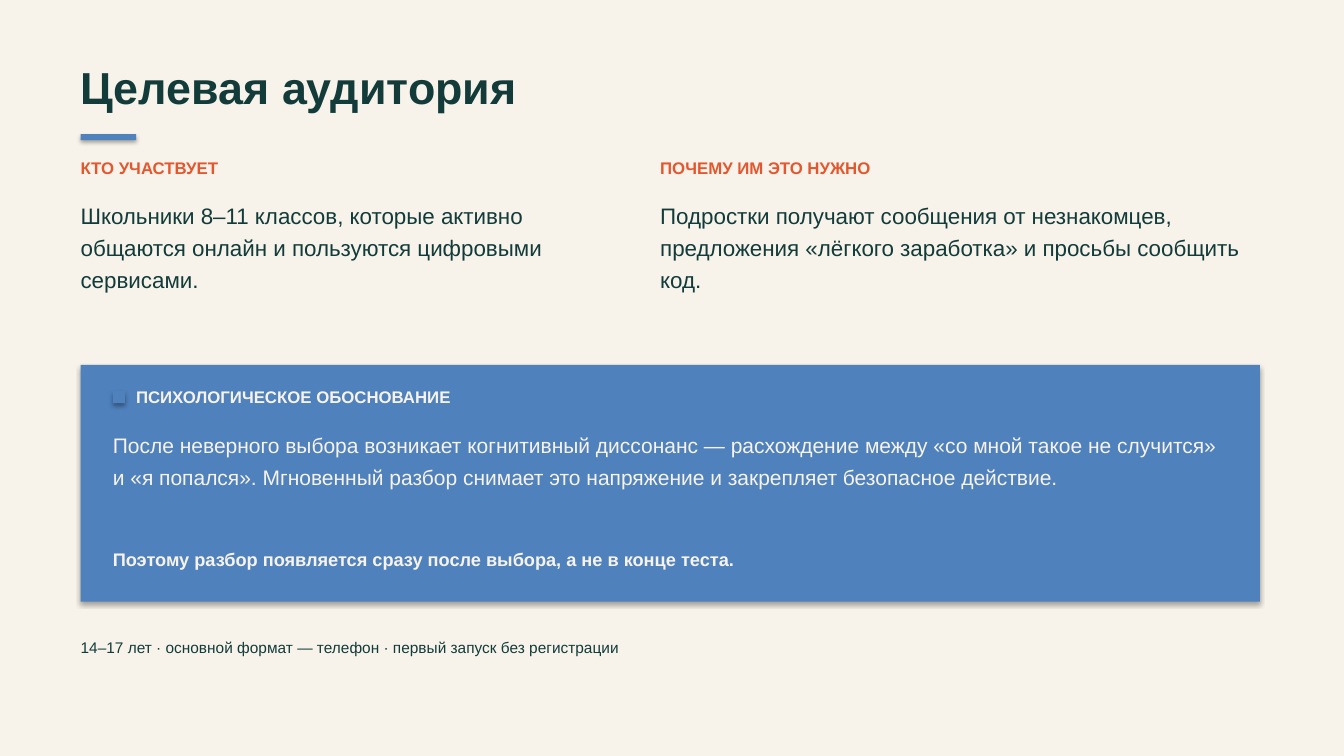
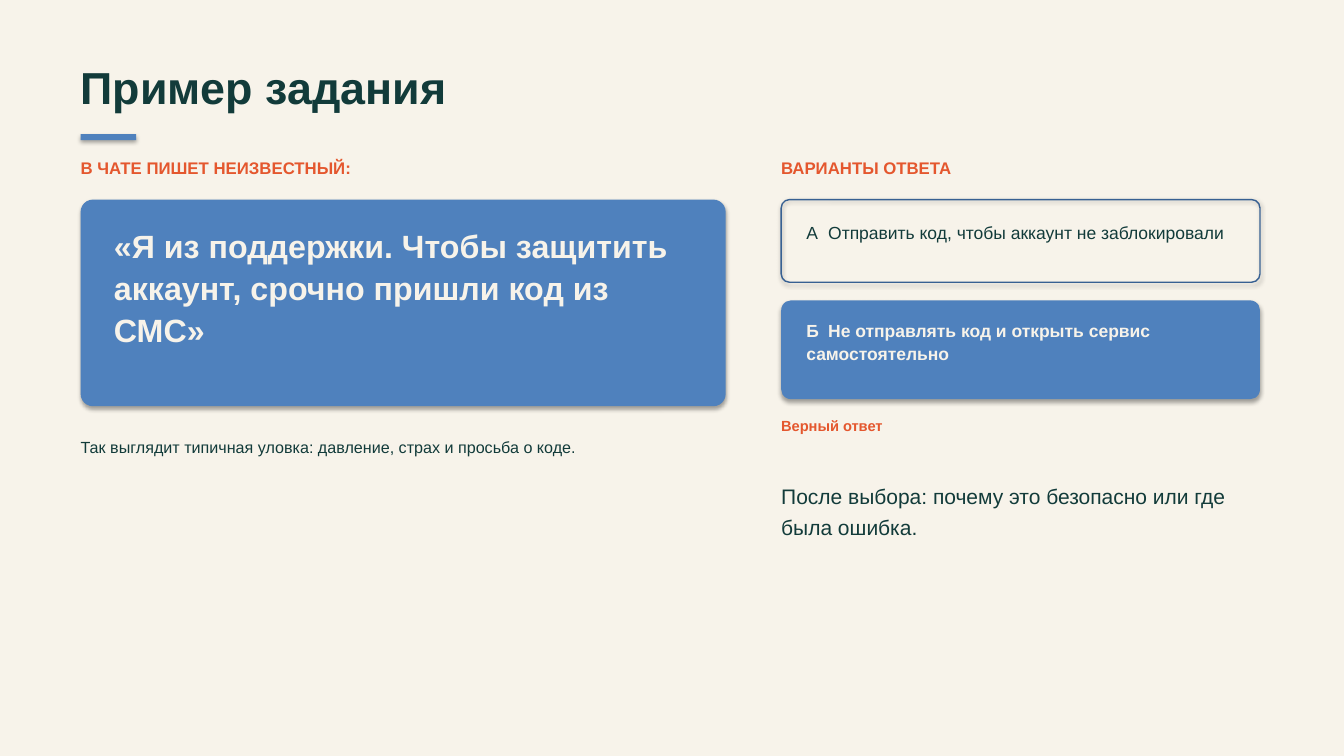
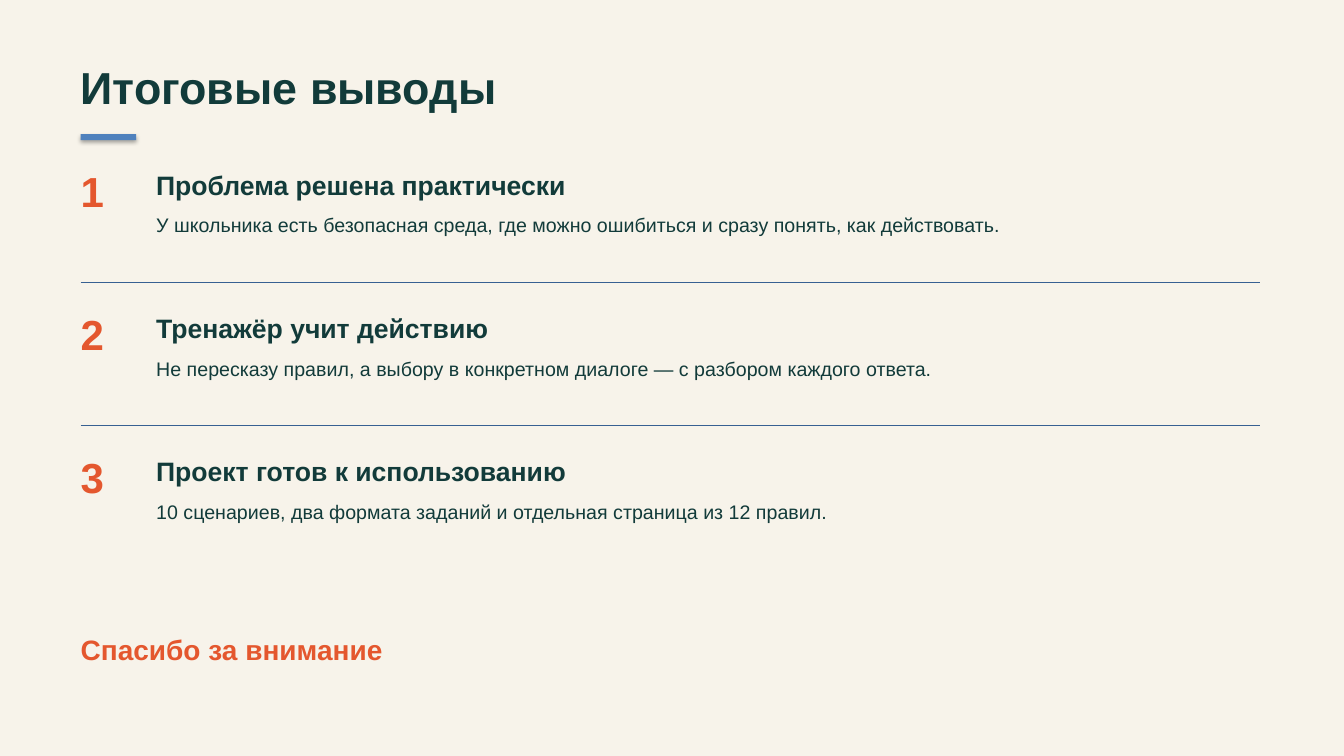
import pptx
import pptx.dml.color
import pptx.enum.shapes
import pptx.enum.text
import pptx.oxml
import pptx.oxml.ns
import pptx.util

Pt = pptx.util.Pt
SHAPES = pptx.enum.shapes.MSO_SHAPE
COLORS = {
    "paper": "F7F3EA",
    "ink": "123B3A",
    "accent": "E4572E",
    "blue": "4F81BD",
    "outline": "376092",
}
RGB = {name: pptx.dml.color.RGBColor.from_string(code) for name, code in COLORS.items()}
LEFT = 57.6
FULL_WIDTH = 842.4


def write(page, words, area, size, color="ink", bold=False, spacing=1.08, tab=None, box=None):
    """Write one paragraph into an area (left, top, width, height)."""
    if box is None:
        box = page.shapes.add_textbox(0, 0, 0, 0)
    box.left, box.top, box.width, box.height = [Pt(value) for value in area]
    frame = box.text_frame
    frame.word_wrap = True
    frame.auto_size = pptx.enum.text.MSO_AUTO_SIZE.NONE
    frame.vertical_anchor = pptx.enum.text.MSO_ANCHOR.TOP
    frame.margin_left = frame.margin_top = frame.margin_right = frame.margin_bottom = 0
    frame.text = words
    para = frame.paragraphs[0]
    if tab:
        stops = pptx.oxml.parse_xml(
            f'<a:tabLst {pptx.oxml.ns.nsdecls("a")}><a:tab pos="{Pt(tab)}" algn="l"/></a:tabLst>')
        para._p.get_or_add_pPr().append(stops)
    para.alignment = pptx.enum.text.PP_ALIGN.LEFT
    para.line_spacing = spacing
    font = para.runs[0].font
    font.name, font.size, font.bold = "Arial", Pt(size), bold
    font.color.rgb = RGB[color]


def add_panel(page, area, radius=None, filled=True):
    """Add a panel that keeps the soft shadow of the theme."""
    kind = SHAPES.ROUNDED_RECTANGLE if radius else SHAPES.RECTANGLE
    panel = page.shapes.add_shape(kind, *[Pt(value) for value in area])
    if radius:
        panel.adjustments[0] = radius
    if filled:
        panel.fill.solid()
        panel.fill.fore_color.rgb = RGB["blue"]
        panel.line.fill.background()
    else:
        panel.fill.background()
        panel.line.color.rgb = RGB["outline"]
        panel.line.width = Pt(1)


# Deck with a shared background, title and accent bar
deck = pptx.Presentation()
deck.slide_width, deck.slide_height = Pt(960), Pt(540)
background = deck.slide_master.background.fill
background.solid()
background.fore_color.rgb = RGB["paper"]

pages = []
for title in ["Целевая аудитория", "Пример задания", "Итоговые выводы"]:
    page = deck.slides.add_slide(deck.slide_layouts[5])
    write(page, title, (LEFT, 39.6, FULL_WIDTH, 50.4), 32, bold=True, box=page.shapes.title)
    add_panel(page, (LEFT, 95.76, 39.6, 4.32))
    pages.append(page)
audience, example, summary = pages

# Audience: two columns
columns = [
    (LEFT, 360, "КТО УЧАСТВУЕТ",
     "Школьники 8–11 классов, которые активно общаются онлайн и пользуются цифровыми сервисами."),
    (471.6, 424.8, "ПОЧЕМУ ИМ ЭТО НУЖНО",
     "Подростки получают сообщения от незнакомцев, предложения «лёгкого заработка» "
     "и просьбы сообщить код."),
]
for left, width, heading, body in columns:
    write(audience, heading, (left, 111.6, width, 21.6), 12, "accent", bold=True)
    write(audience, body, (left, 140.4, width, 97.2), 16, spacing=1.2)

# Audience: reasoning panel and footnote
add_panel(audience, (LEFT, 260.64, FULL_WIDTH, 169.2))
add_panel(audience, (80.64, 279.36, 8.64, 8.64))
write(audience, "ПСИХОЛОГИЧЕСКОЕ ОБОСНОВАНИЕ", (97.2, 275.04, 792, 21.6), 12, "paper", bold=True)
write(audience,
      "После неверного выбора возникает когнитивный диссонанс — расхождение между "
      "«со мной такое не случится» и «я попался». Мгновенный разбор снимает это "
      "напряжение и закрепляет безопасное действие.",
      (80.64, 303.84, 792, 82.8), 15, "paper", spacing=1.28)
write(audience, "Поэтому разбор появляется сразу после выбора, а не в конце теста.",
      (80.64, 390.24, 792, 28.8), 13, "paper", bold=True)
write(audience, "14–17 лет · основной формат — телефон · первый запуск без регистрации",
      (LEFT, 455.04, FULL_WIDTH, 25.2), 11)

# Example: message from a stranger
write(example, "В ЧАТЕ ПИШЕТ НЕИЗВЕСТНЫЙ:", (LEFT, 111.6, 446.4, 21.6), 12, "accent", bold=True)
add_panel(example, (LEFT, 142.56, 460.8, 147.6), radius=0.06)
write(example, "«Я из поддержки. Чтобы защитить аккаунт, срочно пришли код из СМС»",
      (81.36, 159.84, 414, 115.2), 23, "paper", bold=True)
write(example, "Так выглядит типичная уловка: давление, страх и просьба о коде.",
      (LEFT, 311.04, 460.8, 28.8), 11.5)

# Example: answers, the right one filled
ANSWER_LEFT, ANSWER_WIDTH = 558, 342
write(example, "ВАРИАНТЫ ОТВЕТА", (ANSWER_LEFT, 111.6, 338.4, 21.6), 12, "accent", bold=True)
answers = [
    ("А\tОтправить код, чтобы аккаунт не заблокировали", 142.56, 59.04, 156.96, 32.4, False),
    ("Б\tНе отправлять код и открыть сервис самостоятельно", 214.56, 70.56, 226.8, 46.8, True),
]
for words, top, height, text_top, text_height, correct in answers:
    add_panel(example, (ANSWER_LEFT, top, ANSWER_WIDTH, height), radius=0.1, filled=correct)
    write(example, words, (576, text_top, 309.6, text_height), 12.5,
          "paper" if correct else "ink", bold=correct, spacing=1.1, tab=15.6)
write(example, "Верный ответ", (ANSWER_LEFT, 296.64, ANSWER_WIDTH, 21.6), 10.5, "accent", bold=True)
write(example, "После выбора: почему это безопасно или где была ошибка.",
      (ANSWER_LEFT, 342, ANSWER_WIDTH, 86.4), 15, spacing=1.2)

# Summary: numbered conclusions with dividers between them
conclusions = [
    ("Проблема решена практически",
     "У школьника есть безопасная среда, где можно ошибиться и сразу понять, как действовать."),
    ("Тренажёр учит действию",
     "Не пересказу правил, а выбору в конкретном диалоге — с разбором каждого ответа."),
    ("Проект готов к использованию",
     "10 сценариев, два формата заданий и отдельная страница из 12 правил."),
]
for index, (heading, body) in enumerate(conclusions):
    top = 115.2 + 102.24 * index
    if index:
        divider_top = Pt(top - 15.84)
        divider = summary.shapes.add_connector(
            pptx.enum.shapes.MSO_CONNECTOR.STRAIGHT,
            Pt(LEFT), divider_top, Pt(LEFT + FULL_WIDTH), divider_top)
        divider.line.color.rgb = RGB["outline"]
        divider.line.width = Pt(0.6)
        divider._element.spPr.append(
            pptx.oxml.parse_xml(f'<a:effectLst {pptx.oxml.ns.nsdecls("a")}/>'))
    write(summary, str(index + 1), (LEFT, top, 50.4, 43.2), 30, "accent", bold=True)
    write(summary, heading, (111.6, top + 3.6, 777.6, 28.8), 19, bold=True)
    write(summary, body, (111.6, top + 33.84, 777.6, 46.8), 14, spacing=1.2)

write(summary, "Спасибо за внимание", (LEFT, 450, 828, 36), 20, "accent", bold=True)

deck.save("out.pptx")
